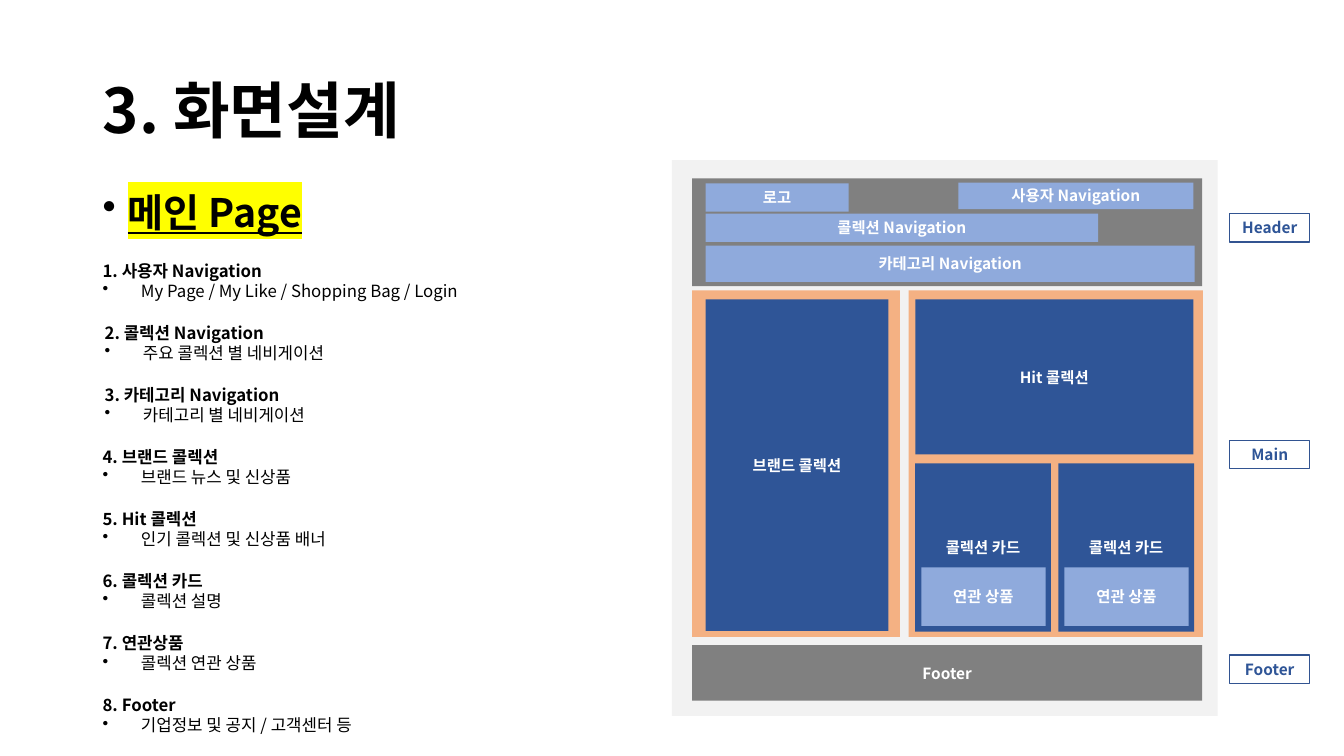
import pptx
import pptx.dml.color
import pptx.enum.shapes
import pptx.enum.text
import pptx.oxml.ns
import pptx.util
from lxml import etree

RGBColor = pptx.dml.color.RGBColor
Pt = pptx.util.Pt
Align = pptx.enum.text.PP_ALIGN
Anchor = pptx.enum.text.MSO_ANCHOR
qn = pptx.oxml.ns.qn

FONT = "Noto Sans CJK KR"
BLACK = RGBColor(0x00, 0x00, 0x00)
WHITE = RGBColor(0xFF, 0xFF, 0xFF)
YELLOW = RGBColor(0xFF, 0xFF, 0x00)
PAPER = RGBColor(0xF2, 0xF2, 0xF2)
GRAY = RGBColor(0x80, 0x80, 0x80)
ORANGE = RGBColor(0xF4, 0xB1, 0x83)
NAVY = RGBColor(0x2F, 0x55, 0x97)
OUTLINE = RGBColor(0x32, 0x54, 0x91)
SKY = RGBColor(0x8F, 0xAA, 0xDC)

WIDTH = pptx.util.Inches(13.33)
HEIGHT = pptx.util.Inches(7.5)

LIST_TOP, LIST_STEP = 33.75, 8.21
LIST_LEFT, LIST_LEFT_SHIFTED = 6.9, 7.05
ITEMS = [
    (LIST_LEFT, "1. 사용자 Navigation", "My Page / My Like / Shopping Bag / Login"),
    (LIST_LEFT_SHIFTED, "2. 콜렉션 Navigation", "주요 콜렉션 별 네비게이션"),
    (LIST_LEFT_SHIFTED, "3. 카테고리 Navigation", "카테고리 별 네비게이션"),
    (LIST_LEFT, "4. 브랜드 콜렉션", "브랜드 뉴스 및 신상품"),
    (LIST_LEFT, "5. Hit 콜렉션", "인기 콜렉션 및 신상품 배너"),
    (LIST_LEFT, "6. 콜렉션 카드", "콜렉션 설명"),
    (LIST_LEFT, "7. 연관상품", "콜렉션 연관 상품"),
    (LIST_LEFT, "8. Footer", "기업정보 및 공지 / 고객센터 등"),
]

BLOCKS = [
    (50, 21.2, 40.6, 73.5, PAPER, ""),
    (51.5, 23.6, 37.95, 14.25, GRAY, ""),
    (52.5, 24.25, 10.65, 3.75, SKY, "로고"),
    (71.3, 24.15, 17.5, 3.5, SKY, "사용자 Navigation"),
    (52.5, 28.25, 29.2, 3.75, SKY, "콜렉션 Navigation"),
    (52.5, 32.5, 36.4, 4.8, SKY, "카테고리 Navigation"),
    (51.5, 38.4, 15.45, 45.85, ORANGE, ""),
    (52.5, 39.6, 13.6, 43.85, NAVY, "브랜드 콜렉션"),
    (67.6, 38.4, 21.9, 45.85, ORANGE, ""),
    (68.1, 39.6, 20.7, 20.5, NAVY, "Hit 콜렉션"),
    (51.5, 85.35, 37.95, 7.35, GRAY, "Footer"),
]
CARD_LEFT, CARD_STEP = 68.1, 10.65
SECTION_TAGS = [(28.25, "Header"), (58.25, "Main"), (86.65, "Footer")]


def share(left, top, width, height):
    return (round(WIDTH * left / 100), round(HEIGHT * top / 100),
            round(WIDTH * width / 100), round(HEIGHT * height / 100))


def style(paragraph, size, color, bold=True):
    font = paragraph.font
    font.name = FONT
    font.size = Pt(size)
    font.bold = bold
    font.color.rgb = color
    etree.SubElement(font._element, qn("a:ea")).set("typeface", FONT)


def add_bullet(paragraph, indent):
    properties = paragraph._p.get_or_add_pPr()
    properties.set("marL", str(pptx.util.Inches(indent)))
    properties.set("indent", str(-pptx.util.Inches(indent)))
    etree.SubElement(properties, qn("a:buChar")).set("char", "•")


def highlight(run, color):
    mark = etree.SubElement(run._r.get_or_add_rPr(), qn("a:highlight"))
    etree.SubElement(mark, qn("a:srgbClr")).set("val", str(color))


def set_title(slide, text):
    title = slide.shapes.title
    title.left, title.top, title.width, title.height = share(6.9, 5.35, 86.25, 19.35)
    frame = title.text_frame
    frame.text = text
    frame.auto_size = pptx.enum.text.MSO_AUTO_SIZE.NONE
    frame.vertical_anchor = Anchor.MIDDLE
    paragraph = frame.paragraphs[0]
    paragraph.alignment = Align.LEFT
    paragraph.line_spacing = 0.9
    style(paragraph, 44, BLACK)


def add_text_frame(slide, *place):
    frame = slide.shapes.add_textbox(*share(*place)).text_frame
    frame.word_wrap = True
    return frame


def add_page_heading(slide, text):
    paragraph = add_text_frame(slide, 6.9, 25.45, 42.45, 7.6).paragraphs[0]
    add_bullet(paragraph, 0.25)
    paragraph.line_spacing = 0.8
    style(paragraph, 28, BLACK)
    paragraph.font.underline = True
    run = paragraph.add_run()
    run.text = text
    highlight(run, YELLOW)


def add_item(slide, left, top, heading, detail):
    frame = add_text_frame(slide, left, top, 42.1, 6.65)
    frame.text = f"{heading}\n{detail}"
    heading_paragraph, detail_paragraph = frame.paragraphs
    add_bullet(detail_paragraph, 0.38)
    style(heading_paragraph, 12, BLACK)
    style(detail_paragraph, 12, BLACK, bold=False)
    for paragraph in frame.paragraphs:
        paragraph.line_spacing = Pt(14.5)


def add_block(slide, left, top, width, height, fill, label, color=WHITE):
    shape = slide.shapes.add_shape(
        pptx.enum.shapes.MSO_SHAPE.RECTANGLE, *share(left, top, width, height))
    shape.shadow.inherit = False
    if fill is None:
        shape.fill.background()
        shape.line.color.rgb = OUTLINE
        shape.line.width = Pt(1)
    else:
        shape.fill.solid()
        shape.fill.fore_color.rgb = fill
        shape.line.fill.background()
    if label:
        frame = shape.text_frame
        frame.text = label
        frame.vertical_anchor = Anchor.MIDDLE
        frame.paragraphs[0].alignment = Align.CENTER
        style(frame.paragraphs[0], 11, color)


def add_collection_card(slide, left):
    add_block(slide, left, 61.3, 10.1, 22.25, NAVY, "콜렉션 카드")
    add_block(slide, left + 0.45, 75.05, 9.25, 7.75, SKY, "연관 상품")


def main():
    presentation = pptx.Presentation()
    presentation.slide_width = WIDTH
    presentation.slide_height = HEIGHT
    slide = presentation.slides.add_slide(presentation.slide_layouts[5])

    set_title(slide, "3. 화면설계")
    add_page_heading(slide, "메인 Page")
    for row, (left, heading, detail) in enumerate(ITEMS):
        add_item(slide, left, LIST_TOP + row * LIST_STEP, heading, detail)

    for block in BLOCKS:
        add_block(slide, *block)
    for column in range(2):
        add_collection_card(slide, CARD_LEFT + column * CARD_STEP)
    for top, label in SECTION_TAGS:
        add_block(slide, 91.5, top, 5.95, 3.75, None, label, NAVY)

    presentation.save("out.pptx")


if __name__ == "__main__":
    main()
